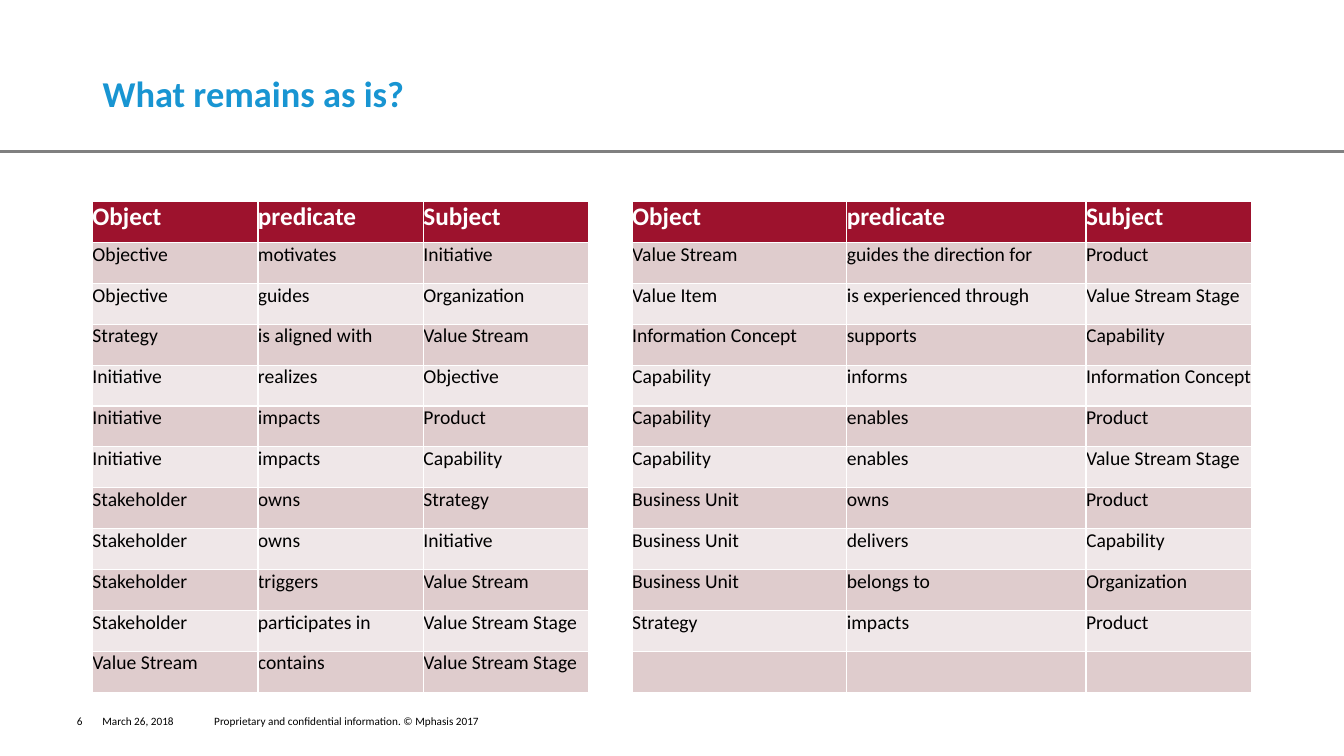
from dataclasses import dataclass

from pptx import Presentation
from pptx.dml.color import RGBColor
from pptx.enum.shapes import MSO_CONNECTOR
from pptx.enum.text import MSO_ANCHOR, MSO_AUTO_SIZE, PP_ALIGN
from pptx.oxml.ns import qn
from pptx.util import Cm, Pt
from lxml.etree import SubElement


@dataclass(frozen=True)
class Theme:
    font: str = "Calibri"
    title: str = "1895D2"
    rule: str = "808080"
    header: str = "9D122D"
    bands: tuple = ("DFCCCD", "EFE7E8")
    light: str = "FFFFFF"
    dark: str = "000000"
    title_size: int = 26
    header_size: int = 18
    body_size: int = 14
    footer_size: int = 8


THEME = Theme()
SLIDE_WIDTH, SLIDE_HEIGHT = 33.87, 19.05
LEFT, CONTENT_WIDTH = 2.33, 29.21
RULE_TOP = 3.81

# Relations: object, predicate, subject
HEADER = ("Object", "predicate", "Subject")
LEFT_RELATIONS = [
    ("Objective", "motivates", "Initiative"),
    ("Objective", "guides", "Organization"),
    ("Strategy", "is aligned with", "Value Stream"),
    ("Initiative", "realizes", "Objective"),
    ("Initiative", "impacts", "Product"),
    ("Initiative", "impacts", "Capability"),
    ("Stakeholder", "owns", "Strategy"),
    ("Stakeholder", "owns", "Initiative"),
    ("Stakeholder", "triggers", "Value Stream"),
    ("Stakeholder", "participates in", "Value Stream Stage"),
    ("Value Stream", "contains", "Value Stream Stage"),
]
RIGHT_RELATIONS = [
    ("Value Stream", "guides the direction for", "Product"),
    ("Value Item", "is experienced through", "Value Stream Stage"),
    ("Information Concept", "supports", "Capability"),
    ("Capability", "informs", "Information Concept"),
    ("Capability", "enables", "Product"),
    ("Capability", "enables", "Value Stream Stage"),
    ("Business Unit", "owns", "Product"),
    ("Business Unit", "delivers", "Capability"),
    ("Business Unit", "belongs to", "Organization"),
    ("Strategy", "impacts", "Product"),
    ("", "", ""),
]
COLUMN_WIDTHS = (4.17, 4.17, 4.17, 1.09, 5.41, 6.03, 4.17)
GAP_COLUMN = 3
ROW_HEIGHT = 1.03


def style_text(frame, size, color, bold=False, align=PP_ALIGN.LEFT):
    for paragraph in frame.paragraphs:
        paragraph.alignment = align
        for run in paragraph.runs:
            run.font.name = THEME.font
            run.font.size = Pt(size)
            run.font.bold = bold
            run.font.color.rgb = RGBColor.from_string(color)


def add_title(slide, text):
    title = slide.shapes.title
    title.left, title.top = Cm(LEFT), Cm(1.02)
    title.width, title.height = Cm(CONTENT_WIDTH), Cm(2.77)
    frame = title.text_frame
    frame.text = text
    frame.auto_size = MSO_AUTO_SIZE.NONE
    frame.vertical_anchor = MSO_ANCHOR.MIDDLE
    frame.paragraphs[0].line_spacing = 0.9
    style_text(frame, THEME.title_size, THEME.title, bold=True)


def add_rule(slide):
    rule = slide.shapes.add_connector(
        MSO_CONNECTOR.STRAIGHT, 0, Cm(RULE_TOP), Cm(SLIDE_WIDTH), Cm(RULE_TOP))
    rule.line.color.rgb = RGBColor.from_string(THEME.rule)
    rule.line.width = Pt(2)
    SubElement(rule.element.spPr, qn("a:effectLst"))


def fill_cell(cell, text, fill, size, color, bold):
    cell.margin_left = cell.margin_right = 0
    cell.margin_top = cell.margin_bottom = 0
    cell.fill.solid()
    cell.fill.fore_color.rgb = RGBColor.from_string(fill)
    cell.text = text
    style_text(cell.text_frame, size, color, bold)


def add_relations(slide):
    rows = [(*HEADER, None, *HEADER)]
    rows += [(*left, None, *right)
             for left, right in zip(LEFT_RELATIONS, RIGHT_RELATIONS)]
    table = slide.shapes.add_table(
        len(rows), len(COLUMN_WIDTHS), Cm(LEFT), Cm(5.08),
        Cm(CONTENT_WIDTH), Cm(ROW_HEIGHT * len(rows))).table
    for column, width in zip(table.columns, COLUMN_WIDTHS):
        column.width = Cm(width)
    for row_index, texts in enumerate(rows):
        table.rows[row_index].height = Cm(ROW_HEIGHT)
        if row_index == 0:
            look = (THEME.header, THEME.header_size, THEME.light, True)
        else:
            band = THEME.bands[(row_index - 1) % 2]
            look = (band, THEME.body_size, THEME.dark, False)
        for column_index, text in enumerate(texts):
            cell = table.cell(row_index, column_index)
            if column_index == GAP_COLUMN:
                cell.fill.background()
            else:
                fill_cell(cell, text, *look)


def add_footer_text(slide, text, left, width, align=PP_ALIGN.LEFT):
    frame = slide.shapes.add_textbox(
        Cm(left), Cm(17.65), Cm(width), Cm(1.02)).text_frame
    frame.word_wrap = True
    frame.vertical_anchor = MSO_ANCHOR.MIDDLE
    frame.text = text
    style_text(frame, THEME.footer_size, THEME.dark, align=align)


def main():
    deck = Presentation()
    deck.slide_width, deck.slide_height = Cm(SLIDE_WIDTH), Cm(SLIDE_HEIGHT)
    slide = deck.slides.add_slide(deck.slide_layouts.get_by_name("Title Only"))

    # Heading
    add_rule(slide)
    add_title(slide, "What remains as is?")

    # Both sets of relations, side by side
    add_relations(slide)

    # Footer
    add_footer_text(slide, "March 26, 2018", LEFT, 2.82)
    add_footer_text(
        slide, "Proprietary and confidential information. © Mphasis 2017",
        5.15, 17.5)
    add_footer_text(slide, "6", 1.11, 1.22, PP_ALIGN.RIGHT)

    deck.save("out.pptx")


if __name__ == "__main__":
    main()
